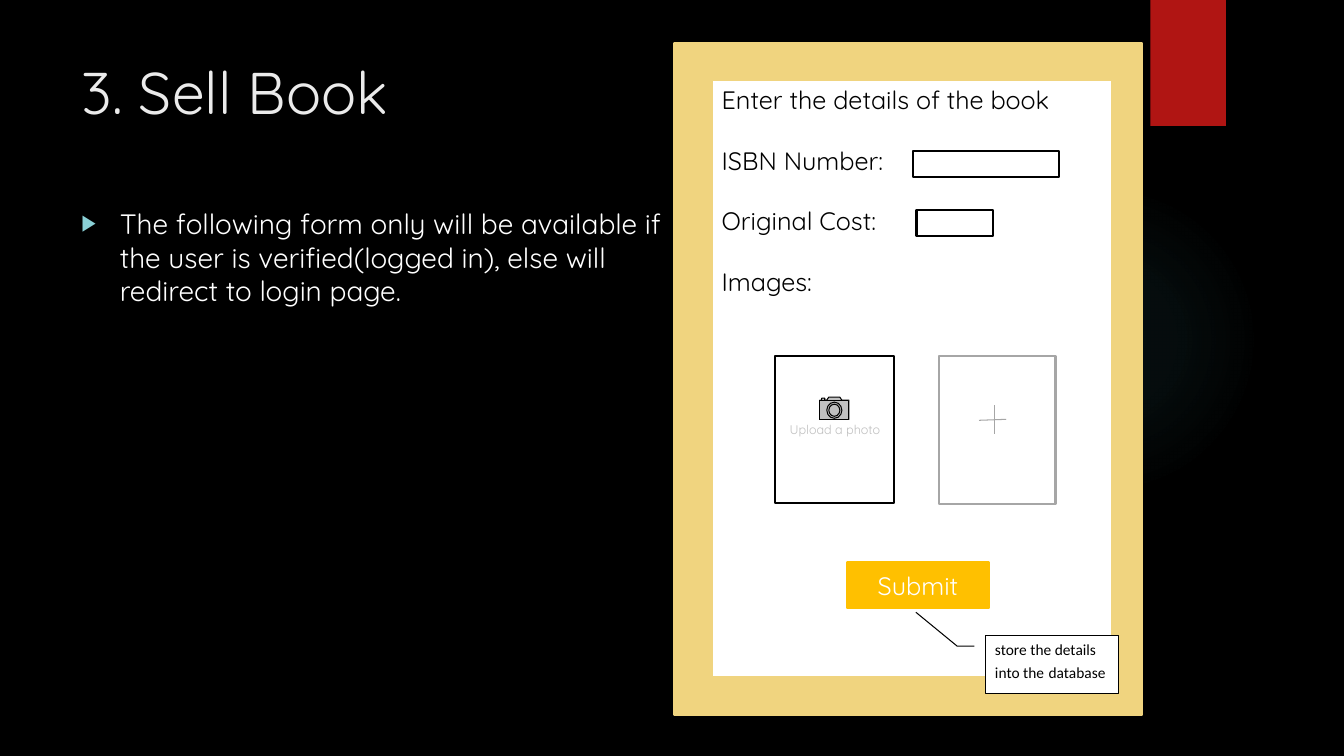
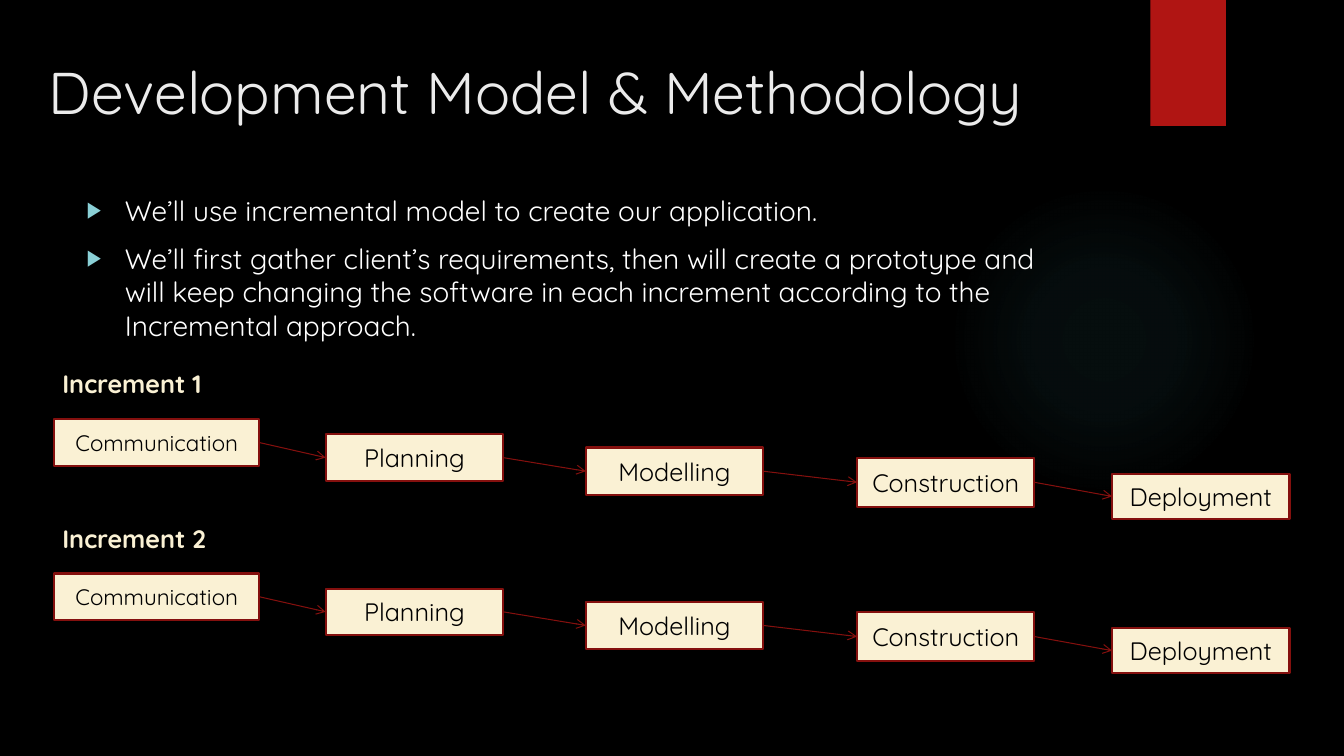
from itertools import pairwise
from lxml import etree
from pptx import Presentation
from pptx.dml.color import RGBColor
from pptx.enum.shapes import MSO_CONNECTOR as Link, MSO_SHAPE as Kind
from pptx.enum.text import MSO_ANCHOR as Anchor, MSO_AUTO_SIZE as Auto, PP_ALIGN as Align
from pptx.oxml import parse_xml
from pptx.oxml.ns import nsdecls, qn
from pptx.util import Emu, Pt

PX = 9144
BLACK, WHITE, SILVER = "000000", "FFFFFF", "C0C0C0"
RED, MAROON, GLOW = "B01513", "84100E", "50B9C1"
GOLD, AMBER, CREAM = "F0D47F", "FFC000", "FAF1D4"
GREY, PALE, AQUA, CHALK = "A6A6A6", "BFBFBF", "8AD0D6", "EBEBEB"


def px(*sizes):
    return [Emu(size * PX) for size in sizes]


def paint(part, shade):
    part.solid()
    part.fore_color.rgb = RGBColor.from_string(shade)


def write(frame, lines, size=18, shade=BLACK, font="Quicksand", bold=False,
          align=Align.LEFT, anchor=Anchor.TOP, wrap=True, before=0, bullet=False):
    frame.word_wrap = wrap
    frame.auto_size = Auto.NONE
    frame.vertical_anchor = anchor
    for index, line in enumerate(lines):
        para = frame.paragraphs[0] if index == 0 else frame.add_paragraph()
        para.alignment = align
        para.space_before = Pt(before if index else 0)
        for words, points in [(line, size)] if isinstance(line, str) else line:
            run = para.add_run()
            run.text = words
            run.font.name, run.font.size, run.font.bold = font, Pt(points), bold
            paint(run.font.fill, shade)
        if bullet:
            props = para._p.get_or_add_pPr()
            props.set("marL", str(38 * PX))
            props.set("indent", str(-38 * PX))
            for mark in (f'<a:buClr {nsdecls("a")}><a:srgbClr val="{AQUA}"/></a:buClr>',
                         f'<a:buSzPct {nsdecls("a")} val="80000"/>',
                         f'<a:buFont {nsdecls("a")} typeface="Arial"/>',
                         f'<a:buChar {nsdecls("a")} char="▶"/>'):
                props.append(parse_xml(mark))


class Deck:
    def __init__(self):
        self.prs = Presentation()
        self.prs.slide_width, self.prs.slide_height = px(1333, 750)
        paint(self.prs.slide_master.background.fill, BLACK)

    def page(self, title, left, width):
        self.slide = self.prs.slides.add_slide(self.prs.slide_layouts[5])
        self.glow()
        self.box(1141, 0, 75, 125, RED)
        head = self.slide.shapes.title
        head.left, head.top, head.width, head.height = px(left, 50, width, 153)
        write(head.text_frame, [title], size=42, shade=CHALK)

    def style(self, shape, fill, edge, weight):
        shape.shadow.inherit = False
        paint(shape.fill, fill)
        if edge:
            paint(shape.line.fill, edge)
            shape.line.width = Pt(weight)
        else:
            shape.line.fill.background()
        return shape

    def box(self, x, y, w, h, fill, edge=None, weight=1.5, kind=Kind.RECTANGLE):
        shape = self.slide.shapes.add_shape(kind, *px(x, y, w, h))
        return self.style(shape, fill, edge, weight)

    def label(self, shape, words, **look):
        write(shape.text_frame, [words], align=Align.CENTER, anchor=Anchor.MIDDLE, **look)

    def glow(self):
        disc = self.box(941, 183, 308, 308, GLOW, kind=Kind.OVAL)
        stops = "".join(
            f'<a:gs pos="{spot * 1000}"><a:srgbClr val="{GLOW}">'
            f'<a:alpha val="{alpha * 1000}"/></a:srgbClr></a:gs>'
            for spot, alpha in ((0, 7), (36, 6), (69, 0)))
        blend = parse_xml(
            f'<a:gradFill {nsdecls("a")}><a:gsLst>{stops}</a:gsLst><a:path path="circle">'
            '<a:fillToRect l="50000" t="50000" r="50000" b="50000"/></a:path></a:gradFill>')
        props = disc._element.spPr
        props.replace(props.find(qn("a:solidFill")), blend)

    def text(self, x, y, w, h, lines, **look):
        area = self.slide.shapes.add_textbox(*px(x, y, w, h))
        write(area.text_frame, lines, **look)

    def notes(self, x, y, w, h, lines):
        self.text(x, y, w, h, lines, size=20, shade=WHITE, before=10, bullet=True)

    def line(self, ends, shade):
        link = self.slide.shapes.add_connector(Link.STRAIGHT, *px(*ends))
        paint(link.line.fill, shade)
        link.line.width = Pt(0.75)
        etree.SubElement(link._element.spPr, qn("a:effectLst"))
        return link

    def arrow(self, start, end):
        link = self.line((0, 0, 0, 0), MAROON)
        link.begin_connect(start, 3)
        link.end_connect(end, 1)
        etree.SubElement(link.line._get_or_add_ln(), qn("a:tailEnd"), type="arrow")

    def shape(self, points, fill, edge):
        path = self.slide.shapes.build_freeform(*points[0], scale=PX)
        path.add_line_segments(points[1:], close=True)
        self.style(path.convert_to_shape(), fill, edge, 0.75)


def sell(deck):
    deck.page("3. Sell Book", 71, 1029)
    deck.box(669, 43, 464, 666, GOLD, GOLD)
    deck.notes(71, 200, 595, 164, [
        "The following form only will be available if the user is "
        "verified(logged in), else will redirect to login page."])
    form = deck.box(706, 79, 397, 593, WHITE, GOLD)
    write(form.text_frame, ["Enter the details of the book", "ISBN Number:",
                            "Original Cost:", "Images:"], before=21.6)
    deck.box(906, 150, 144, 26, WHITE, BLACK)
    deck.box(909, 208, 76, 26, WHITE, BLACK)
    photo = deck.box(769, 353, 118, 146, WHITE, BLACK)
    deck.label(photo, "Upload a photo", size=9, shade=PALE)
    deck.box(931, 353, 116, 147, WHITE, GREY)
    button = deck.box(840, 558, 141, 45, AMBER, AMBER)
    deck.label(button, "Submit", shade=WHITE)
    for ends in ((986, 402, 986, 431), (971, 417, 998, 416)):
        deck.line(ends, GREY)
    deck.shape([(813, 416), (813, 397), (815, 397), (815, 395), (818, 395), (818, 397),
                (820, 397), (822, 394), (833, 394), (835, 397), (842, 397), (842, 416)],
               SILVER, BLACK)
    deck.box(813, 397, 29, 19, SILVER, BLACK, 0.75)
    for inset in (0, 2):
        deck.box(820 + inset, 399 + inset, 15 - 2 * inset, 16 - 2 * inset,
                 SILVER, BLACK, 0.75, Kind.OVAL)
    hint = deck.box(977, 630, 132, 58, WHITE, BLACK, 0.75, Kind.LINE_CALLOUT_2)
    for index, value in enumerate((0.19, -0.08, 0.19, -0.21, -0.39, -0.52)):
        hint.adjustments[index] = value
    write(hint.text_frame, [[("store the details into the", 11), (" ", 14),
                             ("database", 11)]], font="Calibri")


def model(deck):
    deck.page("Development Model & Methodology", 38, 1085)
    deck.notes(76, 187, 978, 179, [
        "We’ll use incremental model to create our application.",
        "We’ll first gather client’s requirements, then will create a prototype and will "
        "keep changing the software in each increment according to the Incremental approach."])
    steps = (("Communication", 54, 416, 203, 46, 16), ("Planning", 323, 431, 176, 46, 18),
             ("Modelling", 581, 444, 176, 47, 18), ("Construction", 850, 454, 176, 49, 18),
             ("Deployment", 1103, 470, 176, 45, 18))
    for row in range(2):
        drop = row * 153
        deck.text(52, 361 + drop, 167, 40, [f"Increment {row + 1}"],
                  shade=CREAM, bold=True, wrap=False)
        chain = []
        for name, x, y, w, h, size in steps:
            step = deck.box(x, y + drop, w, h, CREAM, MAROON)
            deck.label(step, name, size=size)
            chain.append(step)
        for start, end in pairwise(chain):
            deck.arrow(start, end)


def main():
    deck = Deck()
    sell(deck)
    model(deck)
    deck.prs.save("out.pptx")


if __name__ == "__main__":
    main()
